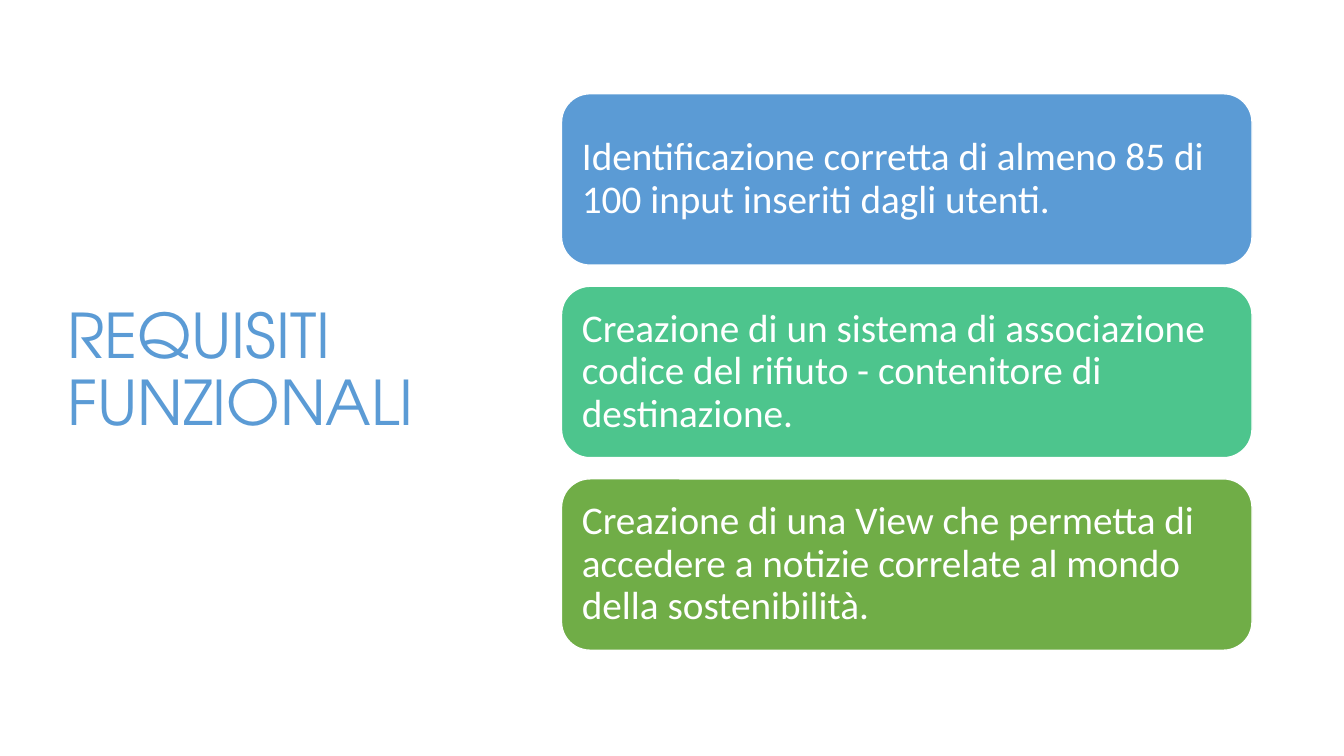
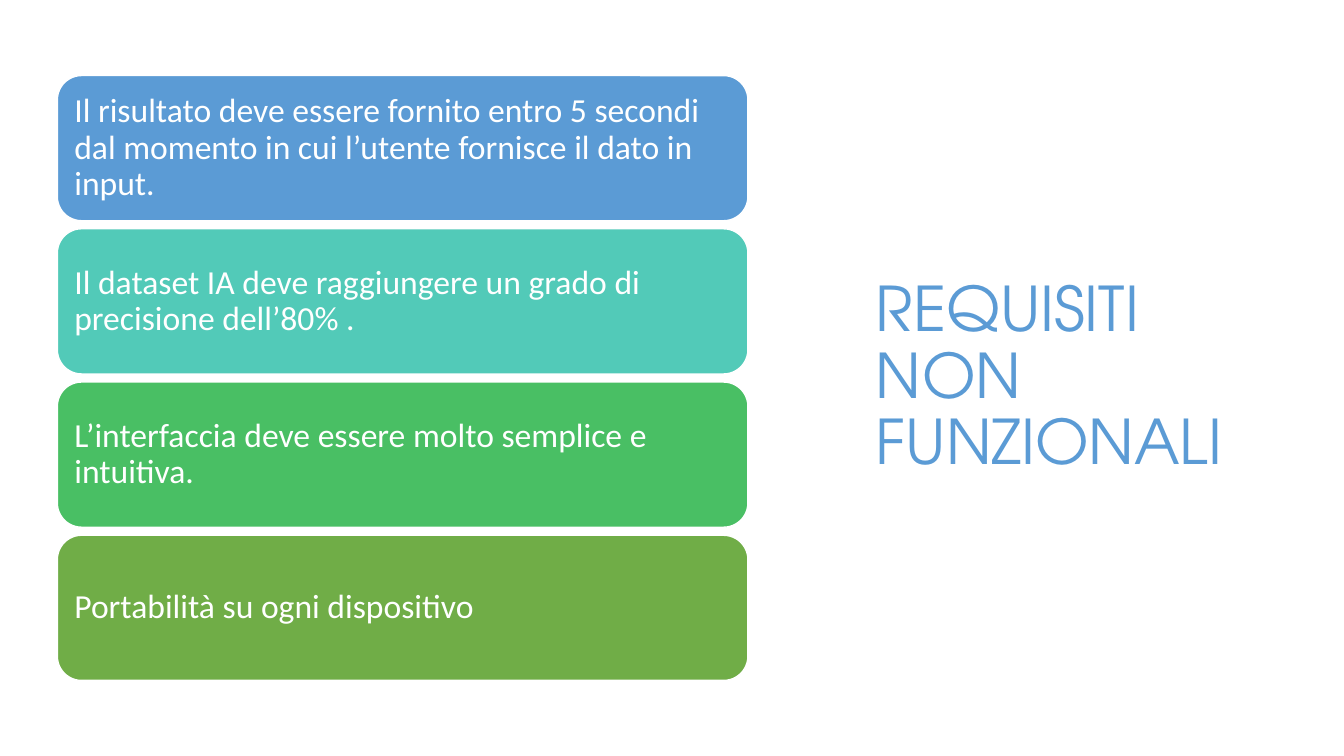
from dataclasses import dataclass

from pptx import Presentation
from pptx.dml.color import RGBColor
from pptx.enum.shapes import MSO_SHAPE
from pptx.enum.text import MSO_ANCHOR, PP_ALIGN
from pptx.util import Inches, Pt

ROUNDED = MSO_SHAPE.ROUNDED_RECTANGLE
MIDDLE = MSO_ANCHOR.MIDDLE
LEFT = PP_ALIGN.LEFT


@dataclass(frozen=True)
class Theme:
    blue: str = "5B9BD5"
    turquoise: str = "52CAB8"
    mint: str = "4DC58D"
    emerald: str = "49BF64"
    green: str = "70AD47"
    white: str = "FFFFFF"
    title_font: str = "TeX Gyre Adventor"
    body_font: str = "Calibri"
    title_size: int = 44
    large_size: int = 28
    medium_size: int = 24
    line_spacing: float = 0.9


theme = Theme()

# Presentation and its grid of 100 columns by 100 rows
presentation = Presentation()
presentation.slide_width = Inches(13.33)
presentation.slide_height = Inches(7.5)
column = presentation.slide_width / 100
row = presentation.slide_height / 100
blank_layout = presentation.slide_layouts[6]


def grid_box(left, top, width, height):
    return (round(left * column), round(top * row),
            round(width * column), round(height * row))


def write_text(shape, text, font, size, color):
    frame = shape.text_frame
    frame.word_wrap = True
    frame.vertical_anchor = MIDDLE
    paragraph = frame.paragraphs[0]
    paragraph.alignment = LEFT
    paragraph.line_spacing = theme.line_spacing
    run = paragraph.add_run()
    run.text = text
    run.font.name = font
    run.font.size = Pt(size)
    run.font.color.rgb = RGBColor.from_string(color)


# Shared column widths and title height
title_width, title_height = 31.2, 80.27
card_width = 51.38

# Content: positions in grid units, card insets in inches
slides = [
    {
        "title": "REQUISITI FUNZIONALI",
        "title_at": (4.27, 9.07),
        "cards_at": (41.78, 12.4),
        "card_height": 22.67,
        "gap": 2.8,
        "inset": 0.12,
        "size": theme.large_size,
        "cards": [
            (theme.blue, "Identificazione corretta di almeno 85 di 100 input "
                         "inseriti dagli utenti."),
            (theme.mint, "Creazione di un sistema di associazione codice del "
                         "rifiuto - contenitore di destinazione."),
            (theme.green, "Creazione di una View che permetta di accedere a "
                          "notizie correlate al mondo della sostenibilità."),
        ],
    },
    {
        "title": "REQUISITI NON FUNZIONALI",
        "title_at": (64.44, 9.87),
        "cards_at": (4.27, 10),
        "card_height": 19.2,
        "gap": 1.07,
        "inset": 0.1,
        "size": theme.medium_size,
        "cards": [
            (theme.blue, "Il risultato deve essere fornito entro 5 secondi dal "
                         "momento in cui l’utente fornisce il dato in input."),
            (theme.turquoise, "Il dataset IA deve raggiungere un grado di "
                              "precisione dell’80% ."),
            (theme.emerald, "L’interfaccia deve essere molto semplice e "
                            "intuitiva."),
            (theme.green, "Portabilità su ogni dispositivo"),
        ],
    },
]

for content in slides:
    slide = presentation.slides.add_slide(blank_layout)

    # Title beside the cards
    title = slide.shapes.add_textbox(
        *grid_box(*content["title_at"], title_width, title_height))
    write_text(title, content["title"], theme.title_font, theme.title_size,
               theme.blue)

    # Stack of requirement cards
    left, first_top = content["cards_at"]
    height = content["card_height"]
    for index, (color, text) in enumerate(content["cards"]):
        top = first_top + index * (height + content["gap"])
        card = slide.shapes.add_shape(
            ROUNDED, *grid_box(left, top, card_width, height))
        card.shadow.inherit = False
        card.fill.solid()
        card.fill.fore_color.rgb = RGBColor.from_string(color)
        card.line.color.rgb = RGBColor.from_string(theme.white)
        card.line.width = Pt(1)
        frame = card.text_frame
        frame.margin_left = frame.margin_right = Inches(content["inset"])
        frame.margin_top = frame.margin_bottom = Inches(content["inset"])
        write_text(card, text, theme.body_font, content["size"], theme.white)

presentation.save("out.pptx")
